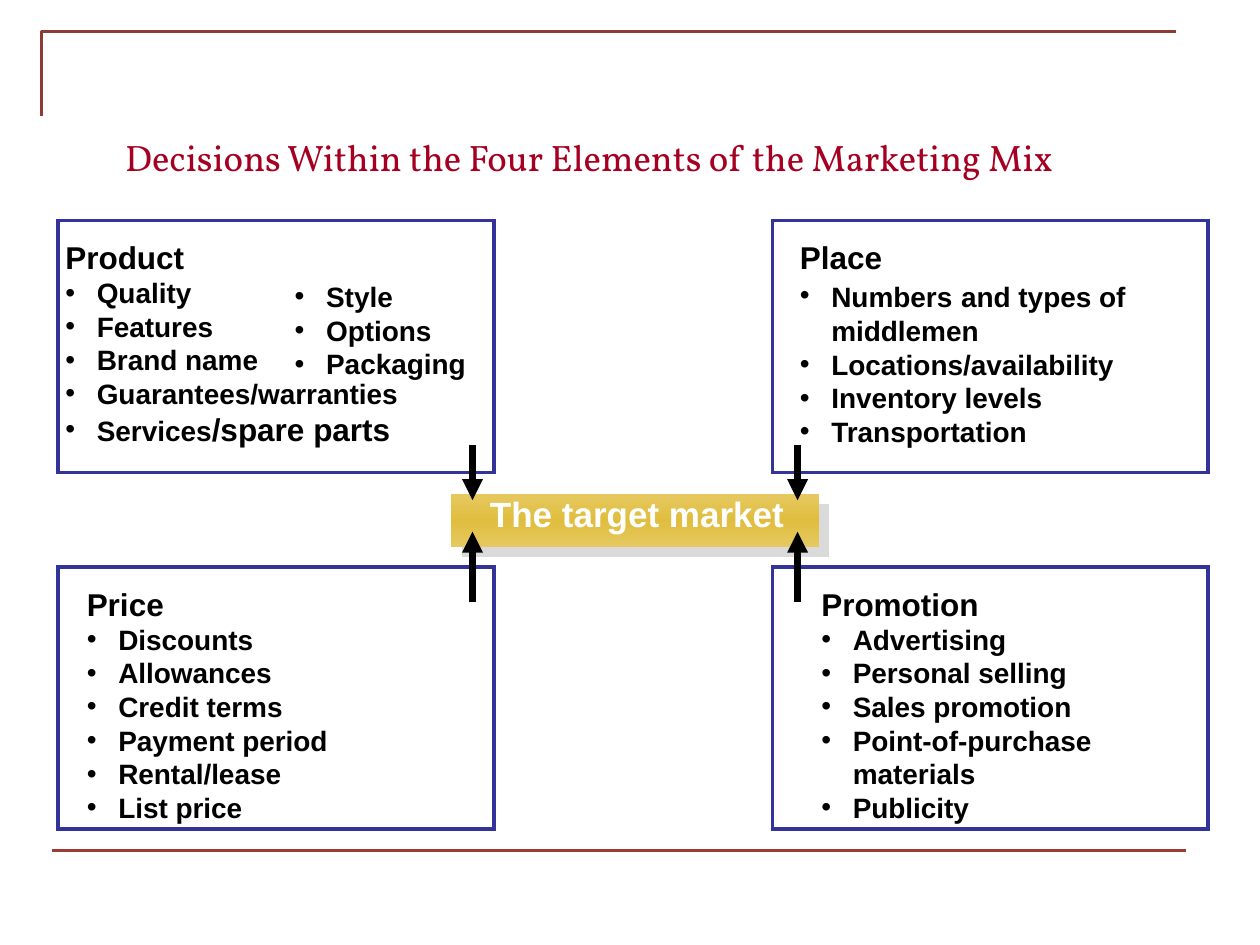
from copy import deepcopy

from lxml.etree import SubElement
from pptx import Presentation
from pptx.dml.color import RGBColor
from pptx.enum.shapes import MSO_CONNECTOR, MSO_SHAPE
from pptx.enum.text import MSO_ANCHOR, PP_ALIGN
from pptx.oxml.ns import qn
from pptx.util import Inches, Pt


def colour(hex_code):
    return RGBColor.from_string(hex_code)


class MarketingMixSlide:
    BODY_FONT = "Arial"
    TITLE_FONT = "Vollkorn"
    BLACK, WHITE = "000000", "FFFFFF"
    TITLE_RED, FRAME_BLUE = "A50021", "333399"
    HEADING_SIZE, ITEM_SIZE = 18, 16

    def __init__(self, slide):
        self.slide = slide

    def line(self, start, end, hex_code, width, arrow=False):
        connector = self.slide.shapes.add_connector(
            MSO_CONNECTOR.STRAIGHT, *map(Inches, start + end))
        connector.line.color.rgb = colour(hex_code)
        connector.line.width = Pt(width)
        properties = connector._element.spPr
        if arrow:
            SubElement(properties.find(qn("a:ln")), qn("a:tailEnd"), type="triangle")
        SubElement(properties, qn("a:effectLst"))

    def corner(self, points, hex_code, width):
        """Draw an open outline through the points."""
        first, *others = [tuple(map(Inches, point)) for point in points]
        builder = self.slide.shapes.build_freeform(*first)
        builder.add_line_segments(others, close=False)
        outline = builder.convert_to_shape()
        outline.shadow.inherit = False
        outline.fill.background()
        outline.line.color.rgb = colour(hex_code)
        outline.line.width = Pt(width)

    def rectangle(self, left, top, width, height):
        box = self.slide.shapes.add_shape(
            MSO_SHAPE.RECTANGLE, *map(Inches, (left, top, width, height)))
        box.shadow.inherit = False
        return box

    def frame(self, *bounds):
        box = self.rectangle(*bounds)
        box.fill.solid()
        box.fill.fore_color.rgb = colour(self.WHITE)
        box.line.color.rgb = colour(self.FRAME_BLUE)
        box.line.width = Pt(2)
        SubElement(box._element.spPr.find(qn("a:ln")), qn("a:miter"), lim="800000")

    def gold_bar(self, *bounds):
        """Draw a bar with a gold gradient and a hard grey shadow."""
        bar = self.rectangle(*bounds)
        bar.line.fill.background()
        bar.fill.gradient()
        bar.fill.gradient_angle = 90
        properties = bar._element.spPr
        stops = properties.find(qn("a:gradFill")).find(qn("a:gsLst"))
        stops.append(deepcopy(stops[0]))
        for stop, position, hex_code in zip(
                bar.fill.gradient_stops, (0, 0.5, 1), ("E6C961", "E0BD3E", "E6C961")):
            stop.position = position
            stop.color.rgb = colour(hex_code)
        shadow = SubElement(properties.find(qn("a:effectLst")), qn("a:outerShdw"),
                            dist=str(Pt(8.5)), dir="2700000", algn="ctr", rotWithShape="0")
        SubElement(shadow, qn("a:srgbClr"), val="DADADA")

    def text_frame(self, left, top, width, height):
        box = self.slide.shapes.add_textbox(*map(Inches, (left, top, width, height)))
        box.text_frame.word_wrap = True
        return box.text_frame

    def style(self, paragraph, size, hex_code, name=BODY_FONT, bold=True):
        font = paragraph.font
        font.name, font.size, font.bold = name, Pt(size), bold
        font.color.rgb = colour(hex_code)

    def title(self, text, *bounds):
        frame = self.text_frame(*bounds)
        frame.vertical_anchor = MSO_ANCHOR.MIDDLE
        paragraph = frame.paragraphs[0]
        paragraph.text = text
        paragraph.alignment = PP_ALIGN.CENTER
        self.style(paragraph, 21, self.TITLE_RED, self.TITLE_FONT, bold=False)

    def label(self, text, *bounds):
        paragraph = self.text_frame(*bounds).paragraphs[0]
        paragraph.text = text
        self.style(paragraph, 20, self.WHITE)

    def bullet(self, paragraph):
        properties = paragraph._p.get_or_add_pPr()
        properties.set("marL", str(Inches(0.25)))
        properties.set("indent", str(-Inches(0.25)))
        bullet_colour = SubElement(properties, qn("a:buClr"))
        SubElement(bullet_colour, qn("a:srgbClr"), val=self.BLACK)
        SubElement(properties, qn("a:buFont"), typeface=self.BODY_FONT)
        SubElement(properties, qn("a:buChar"), char="•")

    def listing(self, heading, items, *bounds):
        """Write bulleted items; in a tuple, every second run has heading size."""
        frame = self.text_frame(*bounds)
        paragraph = frame.paragraphs[0]
        if heading:
            paragraph.text = heading
            self.style(paragraph, self.HEADING_SIZE, self.BLACK)
        for index, item in enumerate(items):
            if heading or index:
                paragraph = frame.add_paragraph()
            self.bullet(paragraph)
            self.style(paragraph, self.ITEM_SIZE, self.BLACK)
            parts = item if isinstance(item, tuple) else (item,)
            for number, part in enumerate(parts):
                run = paragraph.add_run()
                run.text = part
                if number % 2:
                    run.font.size = Pt(self.HEADING_SIZE)


def main():
    presentation = Presentation()
    presentation.slide_width, presentation.slide_height = Inches(10), Inches(7.5)
    mix = MarketingMixSlide(presentation.slides.add_slide(presentation.slide_layouts[6]))

    mix.corner([(0.33, 0.92), (0.33, 0.25), (9.33, 0.25)], "8F3B35", 1.5)
    mix.line((0.41, 6.75), (9.41, 6.75), "9D3C35", 1.5)
    mix.title("Decisions Within the Four Elements of the Marketing Mix",
              0.32, 0.62, 8.71, 1.25)

    left_column, right_column = 0.46, 6.13
    upper_row, lower_row = (1.75, 2), (4.5, 2.08)
    elements = [
        ("Product", left_column, upper_row, 0.42, 3.41,
         ["Quality", "Features", "Brand name", "Guarantees/warranties",
          ("Services", "/spare parts")]),
        ("Place", right_column, upper_row, 6.25, 3.16,
         [("Numbers", " ", "and types of middlemen"), "Locations/availability",
          "Inventory levels", "Transportation"]),
        ("Price", left_column, lower_row, 0.59, 3.41,
         ["Discounts", "Allowances", "Credit terms", "Payment period",
          "Rental/lease", "List price"]),
        ("Promotion", right_column, lower_row, 6.42, 3.16,
         ["Advertising", "Personal selling", "Sales promotion",
          "Point-of-purchase materials", "Publicity"]),
    ]
    for heading, left, (top, height), text_left, text_width, decisions in elements:
        mix.frame(left, top, 3.46, height)
        mix.listing(heading, decisions, text_left, top + 0.09, text_width, height - 0.16)
    mix.listing(None, ["Style", "Options", "Packaging"], 2.24, 2.17, 1.65, 0.9)

    mix.gold_bar(3.58, 3.92, 2.92, 0.42)
    mix.label("The target market", 3.79, 3.86, 2.7, 0.43)
    for start, end in ((3.53, 3.97), (4.78, 4.22)):
        for x in (3.75, 6.33):
            mix.line((x, start), (x, end), mix.BLACK, 4, arrow=True)

    presentation.save("out.pptx")


if __name__ == "__main__":
    main()
